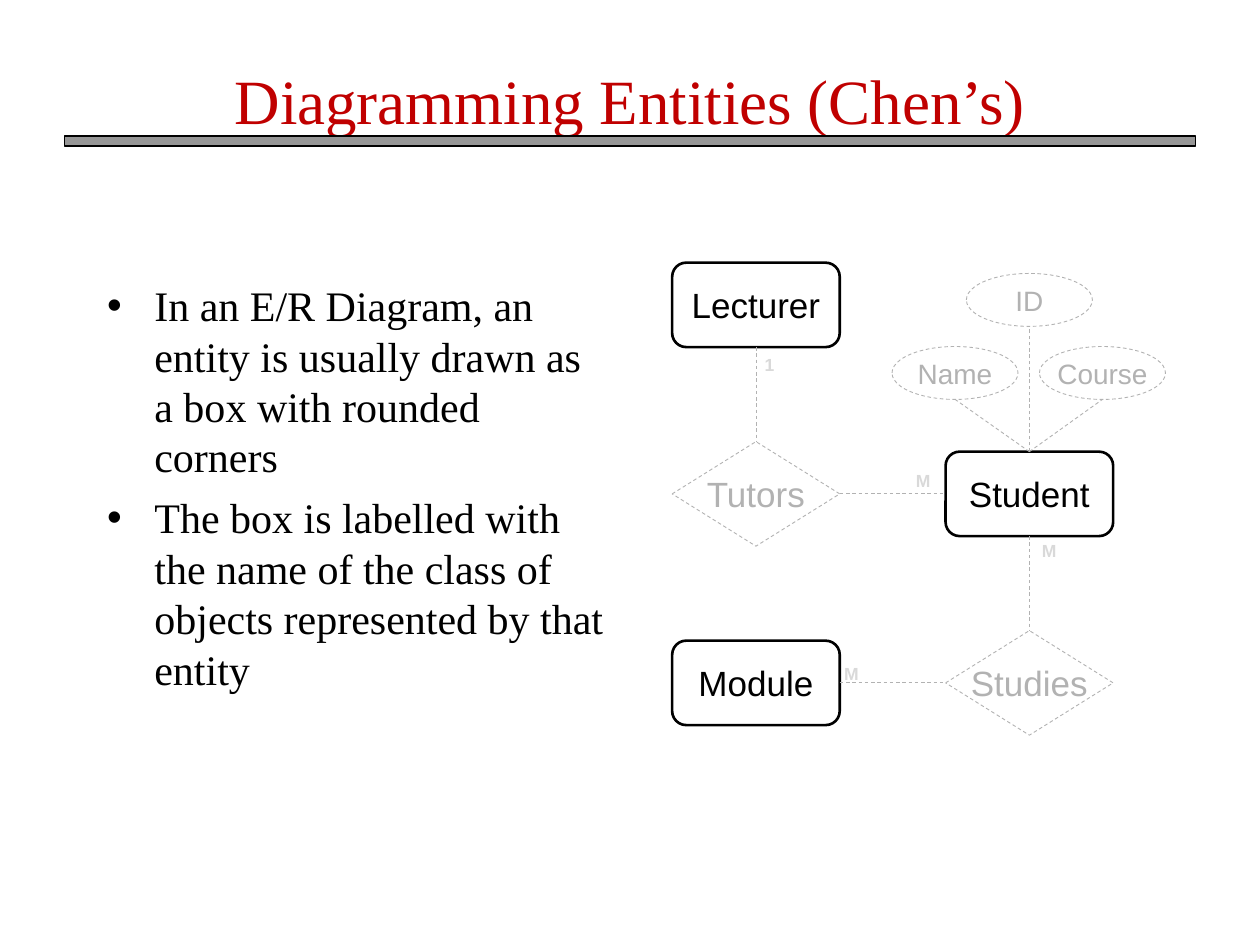
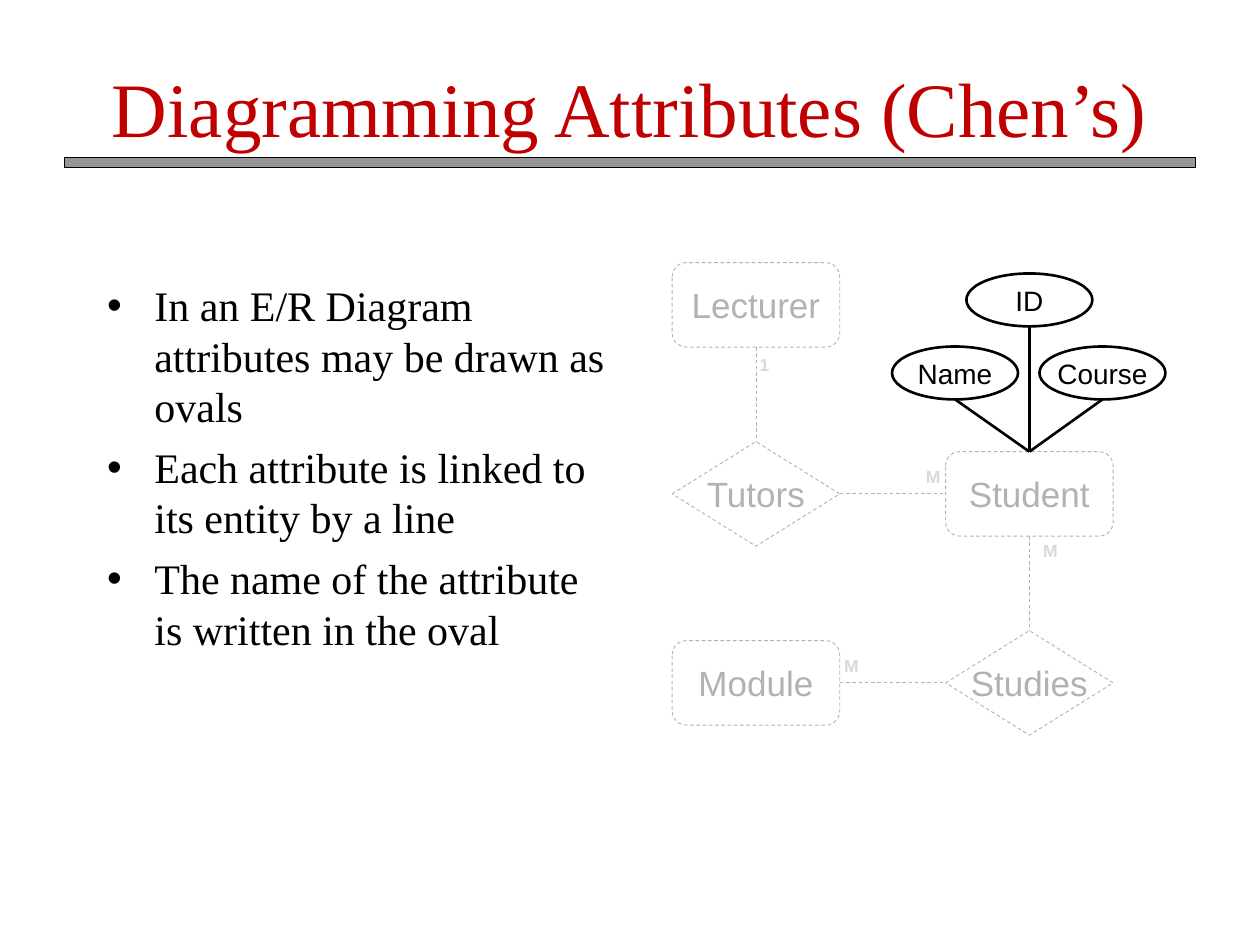
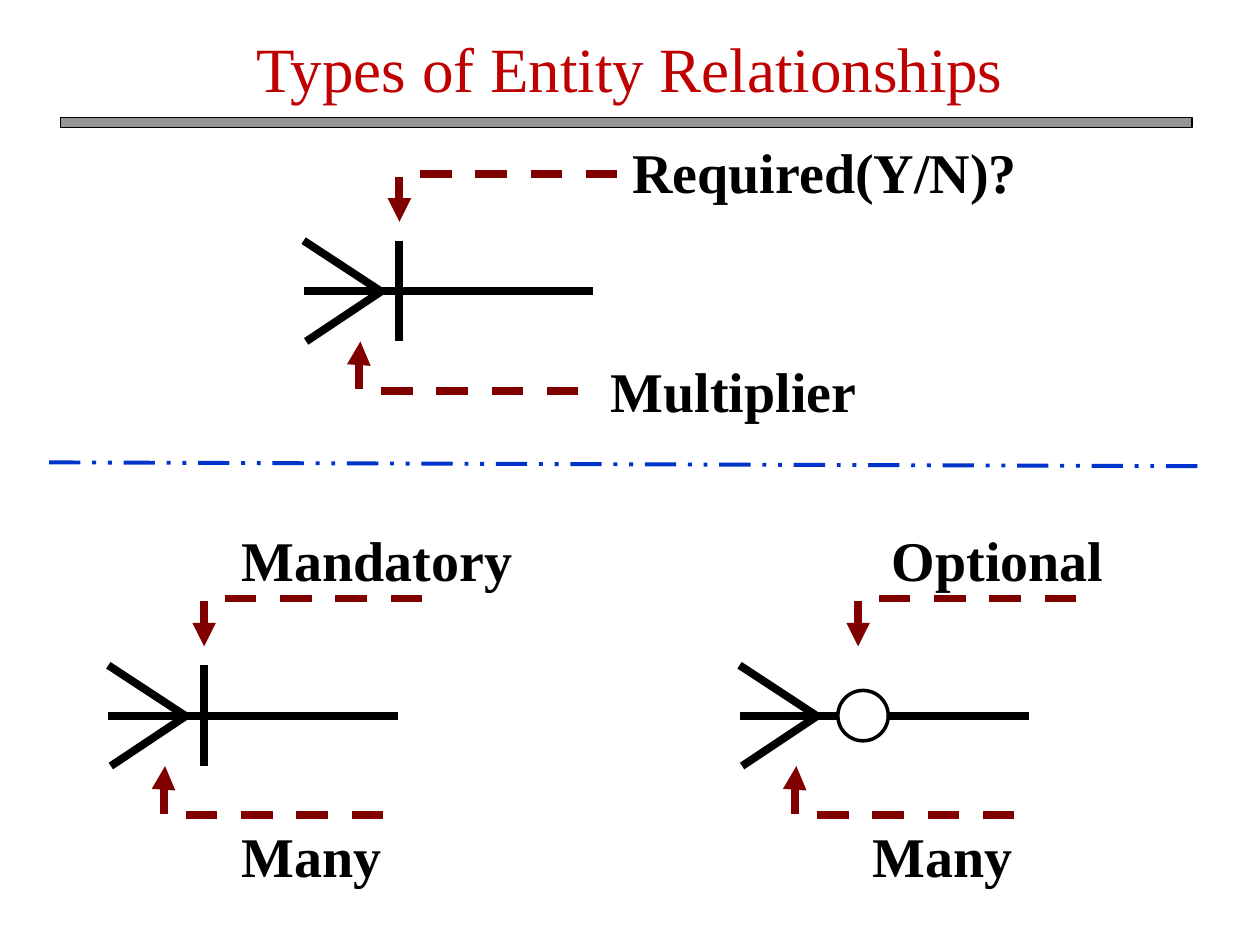
from dataclasses import dataclass

from lxml import etree
from pptx import Presentation
from pptx import util as u
from pptx.dml import color
from pptx.enum import dml, shapes, text
from pptx.oxml import ns


@dataclass(frozen=True)
class Theme:
    serif: str = "Times New Roman"
    sans: str = "Arial"
    title: str = "C00000"
    ink: str = "000000"
    faded: str = "B2B2B2"
    faint: str = "D9D9D9"
    band: str = "969696"
    paper: str = "FFFFFF"
    callout: str = "800000"
    divider: str = "0033CC"
    body_size: int = 24
    entity_size: int = 20
    attribute_size: int = 16
    multiplicity_size: int = 10
    callout_size: int = 32


THEME = Theme()
DASH = dml.MSO_LINE.DASH
STRONG = dict(line=THEME.ink, weight=1.5)
FADED = dict(line=THEME.faded, weight=0.5, dash=DASH)
HEAVY = dict(line=THEME.ink, weight=4.5)

# Content: the two diagram slides
DIAGRAM_SLIDES = [
    dict(title="Diagramming Entities (Chen’s)", title_top=0.16, title_size=36,
         band=(0.51, 1.08), highlight="entity",
         points=["In an E/R Diagram, an entity is usually drawn as a box with rounded corners",
                 "The box is labelled with the name of the class of objects represented by that entity"],
         multiplicities=[("M", 8.17, 4.24), ("M", 6.6, 5.21), ("1", 5.97, 2.76), ("M", 7.17, 3.68)]),
    dict(title="Diagramming Attributes (Chen’s)", title_top=0.22, title_size=44,
         band=(0.51, 1.25), highlight="attribute",
         points=["In an E/R Diagram attributes may be drawn as ovals",
                 "Each attribute is linked to its entity by a line",
                 "The name of the attribute is written in the oval"],
         multiplicities=[("M", 8.18, 4.24), ("M", 7.25, 3.65), ("1", 5.93, 2.76), ("M", 6.6, 5.15)]),
]

# Role: preset, width, height, type size
ROLES = {
    "entity": (shapes.MSO_SHAPE.ROUNDED_RECTANGLE, 1.33, 0.67, THEME.entity_size),
    "relationship": (shapes.MSO_SHAPE.DIAMOND, 1.33, 0.83, THEME.entity_size),
    "attribute": (shapes.MSO_SHAPE.OVAL, 1, 0.42, THEME.attribute_size),
}
# Name: role, centre x, centre y
NODES = {
    "Student": ("entity", 8.17, 3.92),
    "Lecturer": ("entity", 6, 2.42),
    "Module": ("entity", 6, 5.42),
    "Tutors": ("relationship", 6, 3.92),
    "Studies": ("relationship", 8.17, 5.42),
    "ID": ("attribute", 8.17, 2.38),
    "Course": ("attribute", 8.75, 2.96),
    "Name": ("attribute", 7.58, 2.96),
}
SIDES = {"top": (0, -0.5), "bottom": (0, 0.5), "left": (-0.5, 0), "right": (0.5, 0)}
LINKS = [
    ("Lecturer", "bottom", "Tutors", "top"),
    ("Tutors", "right", "Student", "left"),
    ("Student", "bottom", "Studies", "top"),
    ("Module", "right", "Studies", "left"),
    ("Student", "top", "Course", "bottom"),
    ("Student", "top", "ID", "bottom"),
    ("Student", "top", "Name", "bottom"),
]

# Content: the crow's foot slide; each label is words, left, top, width
TYPES_SLIDE = dict(title="Types of Entity Relationships", title_top=-0.09, title_size=36,
                   band=(0.48, 0.93))
CROWS_FEET = [
    dict(at=(2.41, 1.91), mark="bar", upper_tip=0.76,
         labels=[("Multiplier", 4.75, 2.78, 2.84), ("Required(Y/N)?", 4.92, 1.04, 3.45)]),
    dict(at=(0.86, 5.28), mark="bar", upper_tip=0.76,
         labels=[("Many", 1.82, 6.47, 2.84), ("Mandatory", 1.82, 4.12, 3.45)]),
    dict(at=(5.87, 5.28), mark="circle", upper_tip=0.94,
         labels=[("Many", 6.83, 6.47, 2.84), ("Optional", 6.98, 4.12, 3.45)]),
]
FOOT_STROKES = [(0, 0.4, 2.3, 0.4), (0, 0, 0.61, 0.4), (0.02, 0.8, 0.62, 0.4)]
BAR_STROKE = (0.76, 0, 0.76, 0.8)
CALLOUT_RUN = 1.73


# Formatting helpers
def inches(*values):
    return [u.Inches(v) for v in values]


def rgb(value):
    return color.RGBColor.from_string(value)


def assign(target, **values):
    for name, value in values.items():
        setattr(target, name, value)


def set_font(paragraph, face, size, ink, bold=False):
    assign(paragraph.font, name=face, size=u.Pt(size), bold=bold)
    paragraph.font.color.rgb = rgb(ink)


def set_line(drawn, line, weight, dash=None):
    drawn.line.color.rgb = rgb(line)
    assign(drawn.line, width=u.Pt(weight), dash_style=dash)


def place(box, left, top, width, height):
    left, top, width, height = inches(left, top, width, height)
    assign(box, left=left, top=top, width=width, height=height)


# Drawing helpers
def add_outline(slide, preset, left, top, width, height, fill=None, **stroke):
    outline = slide.shapes.add_shape(preset, *inches(left, top, width, height))
    outline.shadow.inherit = False
    if fill:
        outline.fill.solid()
        outline.fill.fore_color.rgb = rgb(fill)
    else:
        outline.fill.background()
    set_line(outline, **stroke)
    return outline


def add_line(slide, ends, kind=shapes.MSO_CONNECTOR.STRAIGHT, **stroke):
    line = slide.shapes.add_connector(kind, *inches(*ends))
    set_line(line, **stroke)
    etree.SubElement(line._element.spPr, ns.qn("a:effectLst"))
    return line


def add_callout_arrow(slide, tip_x, tip_y, rise, bend):
    """Elbow arrow that starts to the right of its tip and turns towards it."""
    arrow = add_line(slide, (tip_x, tip_y, tip_x + CALLOUT_RUN, tip_y + rise),
                     shapes.MSO_CONNECTOR.ELBOW, line=THEME.callout, weight=4.5, dash=DASH)
    properties = arrow._element.spPr
    properties.find(ns.qn("a:xfrm")).set("rot", "10800000")
    adjustments = properties.find(ns.qn("a:prstGeom")).get_or_add_avLst()
    etree.SubElement(adjustments, ns.qn("a:gd"), name="adj1", fmla=f"val {bend}")
    etree.SubElement(properties.find(ns.qn("a:ln")), ns.qn("a:tailEnd"), type="triangle")


def add_label(slide, words, left, top, width, height, face, size, ink, wrap):
    frame = slide.shapes.add_textbox(*inches(left, top, width, height)).text_frame
    assign(frame, text=words, word_wrap=wrap, auto_size=text.MSO_AUTO_SIZE.SHAPE_TO_FIT_TEXT)
    set_font(frame.paragraphs[0], face, size, ink, bold=True)


def add_titled_slide(deck, layout, content):
    slide = deck.slides.add_slide(deck.slide_layouts[layout])
    title = slide.shapes.title
    place(title, 0.75, content["title_top"], 8.5, 1.25)
    assign(title.text_frame, text=content["title"], auto_size=text.MSO_AUTO_SIZE.NONE)
    set_font(title.text_frame.paragraphs[0], THEME.serif, content["title_size"], THEME.title)
    add_outline(slide, shapes.MSO_SHAPE.RECTANGLE, *content["band"], 8.98, 0.08,
                fill=THEME.band, line=THEME.ink, weight=0.75)
    return slide


# Entity-relationship diagram
def add_points(slide, points):
    body = slide.placeholders[1]
    place(body, 0.75, 2.17, 4.17, 4.5)
    frame = body.text_frame
    assign(frame, text="\n".join(points), auto_size=text.MSO_AUTO_SIZE.NONE)
    for index, paragraph in enumerate(frame.paragraphs):
        paragraph.space_before = u.Pt(6 if index else 0)
        set_font(paragraph, THEME.serif, THEME.body_size, THEME.ink)


def add_node(slide, name, highlight):
    role, x, y = NODES[name]
    preset, width, height, size = ROLES[role]
    stroke = STRONG if role == highlight else FADED
    node = add_outline(slide, preset, x - width / 2, y - height / 2, width, height, **stroke)
    frame = node.text_frame
    assign(frame, text=name, word_wrap=False, vertical_anchor=text.MSO_ANCHOR.MIDDLE)
    frame.paragraphs[0].alignment = text.PP_ALIGN.CENTER
    set_font(frame.paragraphs[0], THEME.sans, size, stroke["line"])


def side_point(name, side):
    role, x, y = NODES[name]
    _, width, height, _ = ROLES[role]
    across, down = SIDES[side]
    return x + across * width, y + down * height


def add_diagram(slide, highlight, multiplicities):
    for name in NODES:
        add_node(slide, name, highlight)
    for start, start_side, end, end_side in LINKS:
        strong = highlight == "attribute" == NODES[end][0]
        add_line(slide, side_point(start, start_side) + side_point(end, end_side),
                 **(STRONG if strong else FADED))
    for words, left, top in multiplicities:
        add_label(slide, words, left, top, 0.27 if words == "1" else 0.31, 0.27,
                  THEME.sans, THEME.multiplicity_size, THEME.faint, wrap=False)


# Crow's foot notation
def add_crows_foot(slide, at, mark, upper_tip, labels):
    x, y = at
    strokes = FOOT_STROKES + ([BAR_STROKE] if mark == "bar" else [])
    for x1, y1, x2, y2 in strokes:
        add_line(slide, (x + x1, y + y1, x + x2, y + y2), **HEAVY)
    if mark == "circle":
        add_outline(slide, shapes.MSO_SHAPE.OVAL, x + 0.78, y + 0.2, 0.4, 0.4,
                    fill=THEME.paper, line=THEME.ink, weight=2)
    add_callout_arrow(slide, x + 0.45, y + 0.8, 0.39, 100700)
    add_callout_arrow(slide, x + upper_tip, y - 0.15, -0.38, 100000)
    for words, left, top, width in labels:
        add_label(slide, words, left, top, width, 0.64,
                  THEME.serif, THEME.callout_size, THEME.ink, wrap=True)


def main():
    deck = Presentation()
    assign(deck, slide_width=u.Inches(10), slide_height=u.Inches(7.5))
    for content in DIAGRAM_SLIDES:
        slide = add_titled_slide(deck, 1, content)
        add_points(slide, content["points"])
        add_diagram(slide, content["highlight"], content["multiplicities"])
    slide = add_titled_slide(deck, 5, TYPES_SLIDE)
    add_line(slide, (0.39, 3.67, 9.57, 3.7), line=THEME.divider, weight=2.25,
             dash=dml.MSO_LINE.DASH_DOT_DOT)
    for foot in CROWS_FEET:
        add_crows_foot(slide, **foot)
    deck.save("out.pptx")


if __name__ == "__main__":
    main()
